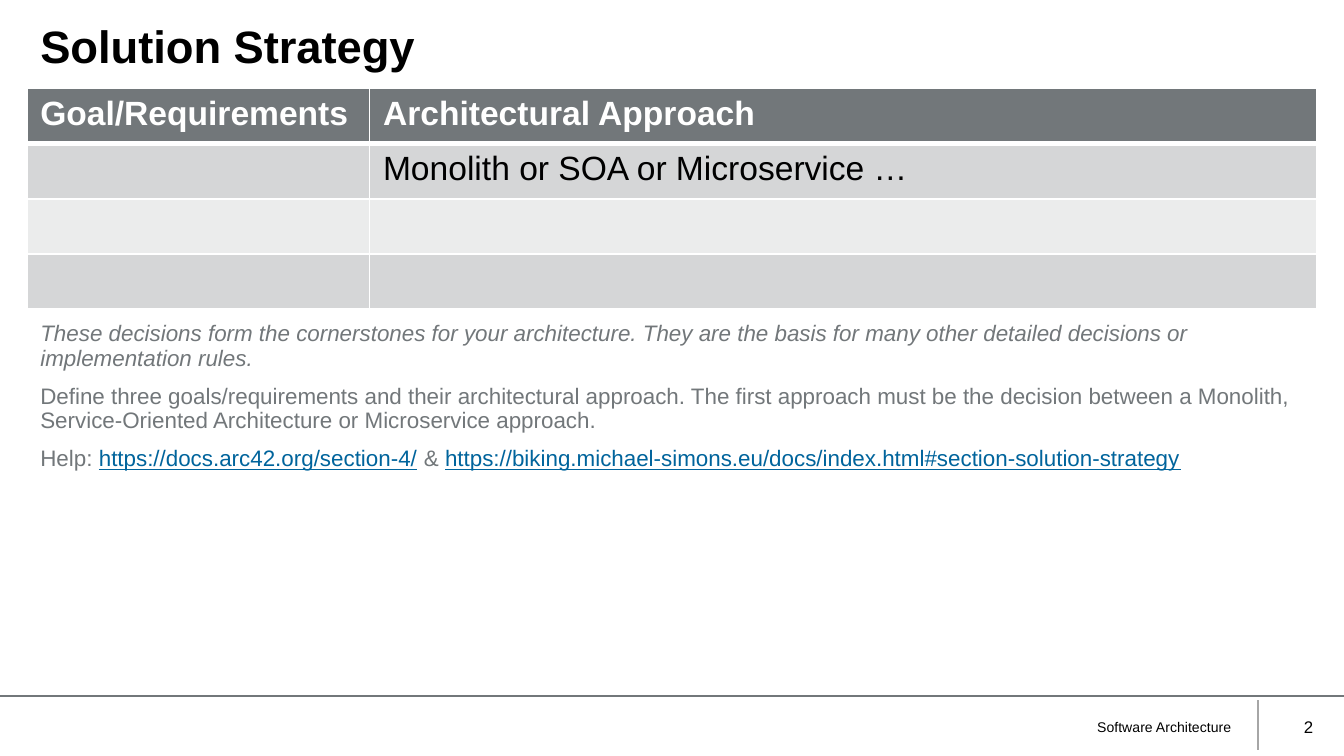
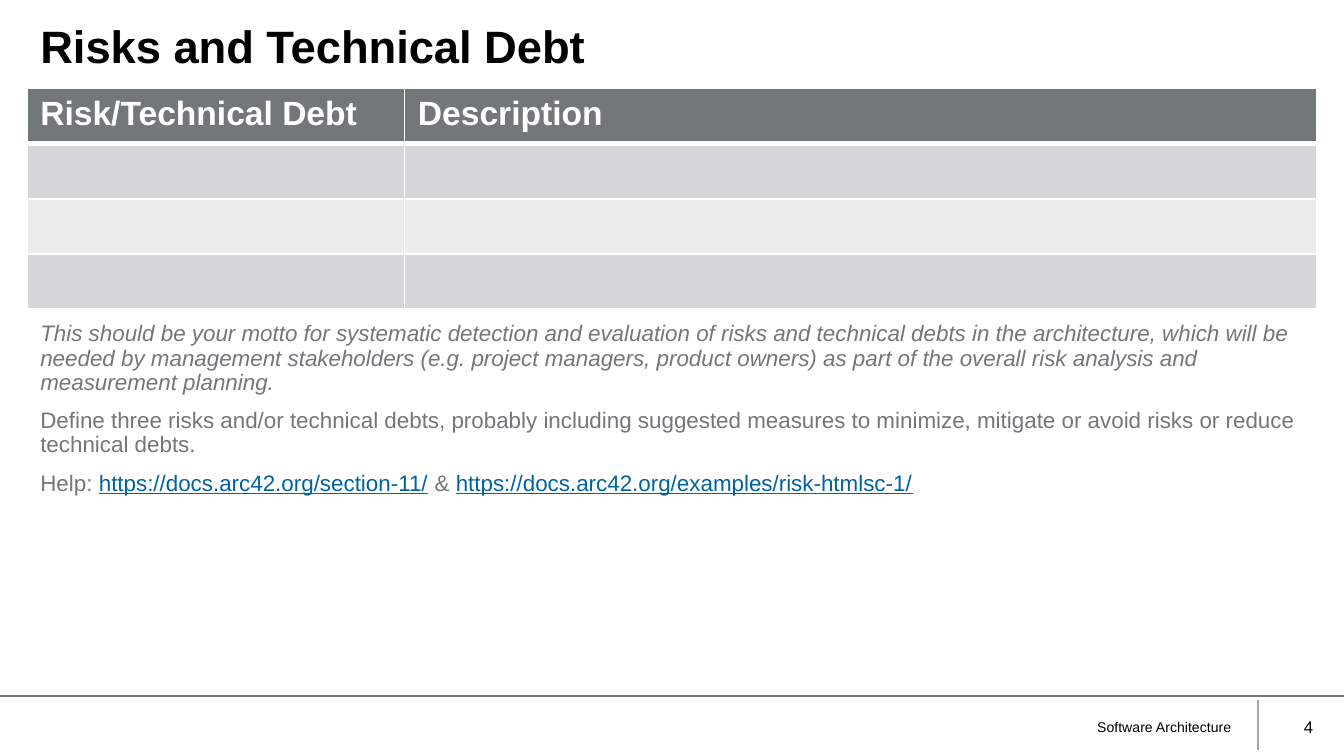
"""Builds two architecture template slides, each with a table and guidance text."""
from lxml import etree
from pptx import Presentation
from pptx.dml.color import RGBColor
from pptx.enum.shapes import MSO_CONNECTOR
from pptx.enum.text import MSO_ANCHOR, MSO_AUTO_SIZE, PP_ALIGN
from pptx.oxml.ns import qn
from pptx.util import Inches, Pt

LINE = MSO_CONNECTOR.STRAIGHT
TOP, MIDDLE = MSO_ANCHOR.TOP, MSO_ANCHOR.MIDDLE
LEFT, RIGHT = PP_ALIGN.LEFT, PP_ALIGN.RIGHT
FIXED = MSO_AUTO_SIZE.NONE
FONT = "Arial"
COLORS = {
    "black": "000000",
    "white": "FFFFFF",
    "gray": "72777A",
    "rule": "A6A6A6",
    "dark": "D5D6D7",
    "light": "EBECEC",
    "link": "00649C",
}
EDGE, WIDTH = 0.2, 9.6
ROW = 0.41

PAGES = [
    {
        "title": "Solution Strategy",
        "number": 2,
        "split": 2.55,
        "rows": [
            ("Goal/Requirements", "Architectural Approach"),
            ("", "Monolith or SOA or Microservice …"),
            ("", ""),
            ("", ""),
        ],
        "motto": "These decisions form the cornerstones for your architecture. "
                 "They are the basis for many other detailed decisions or "
                 "implementation rules.",
        "task": "Define three goals/requirements and their architectural approach. "
                "The first approach must be the decision between a Monolith, "
                "Service-Oriented Architecture or Microservice approach.",
        "links": [
            "https://docs.arc42.org/section-4/",
            "https://biking.michael-simons.eu/docs/index.html#section-solution-strategy",
        ],
    },
    {
        "title": "Risks and Technical Debt",
        "number": 4,
        "split": 2.81,
        "rows": [("Risk/Technical Debt", "Description")] + [("", "")] * 3,
        "motto": "This should be your motto for systematic detection and evaluation "
                 "of risks and technical debts in the architecture, which will be "
                 "needed by management stakeholders (e.g. project managers, product "
                 "owners) as part of the overall risk analysis and measurement planning.",
        "task": "Define three risks and/or technical debts, probably including "
                "suggested measures to minimize, mitigate or avoid risks or reduce "
                "technical debts.",
        "links": [
            "https://docs.arc42.org/section-11/",
            "https://docs.arc42.org/examples/risk-htmlsc-1/",
        ],
    },
]


def color(name):
    return RGBColor.from_string(COLORS[name])


class Deck:
    def __init__(self):
        self.file = Presentation()
        self.file.slide_width = Inches(10)
        self.file.slide_height = Inches(10 * 9 / 16)
        self.slide = None

    def page(self, number):
        self.slide = self.file.slides.add_slide(self.file.slide_layouts[1])
        self.rule((9.36, 5.21), (9.36, 5.58), "rule")
        self.rule((0, 5.18), (10, 5.18), "gray")
        self.note("Software Architecture", 3.05, 6.21, 7.5)
        self.note(str(number), 9.34, 0.53, 9)

    def rule(self, start, end, tone):
        line = self.slide.shapes.add_connector(
            LINE, *(Inches(v) for v in (*start, *end)))
        line.line.color.rgb = color(tone)
        line.line.width = Pt(1)
        etree.SubElement(line.element.spPr, qn("a:effectLst"))

    def style(self, para, size, tone, bold=False, italic=False):
        font = para.font
        font.name, font.size = FONT, Pt(size)
        font.bold, font.italic = bold, italic
        font.color.rgb = color(tone)

    def place(self, shape, left, top, width, height, anchor=TOP):
        shape.left, shape.top = Inches(left), Inches(top)
        shape.width, shape.height = Inches(width), Inches(height)
        frame = shape.text_frame
        frame.word_wrap = True
        frame.auto_size = FIXED
        frame.vertical_anchor = anchor
        return frame

    def note(self, text, left, width, size):
        box = self.slide.shapes.add_textbox(0, 0, 0, 0)
        para = self.place(box, left, 5.26, width, 0.3, MIDDLE).paragraphs[0]
        para.text = text
        para.alignment = RIGHT
        self.style(para, size, "black")

    def title(self, text):
        frame = self.place(self.slide.shapes.title, EDGE, 0.13, WIDTH, 0.48)
        para = frame.paragraphs[0]
        para.text = text
        para.alignment = LEFT
        para.line_spacing = 0.9
        self.style(para, 24.3, "black", bold=True)

    def body(self, motto, task, links):
        frame = self.place(self.slide.placeholders[1], EDGE, 2.35, WIDTH, 2.75)
        frame.text = "\n".join([motto, task, "Help: "])
        for i, para in enumerate(frame.paragraphs):
            props = para._p.get_or_add_pPr()
            props.set("marL", "0")
            props.set("indent", "0")
            etree.SubElement(props, qn("a:buNone"))
            para.line_spacing = 0.9
            para.space_before = para.space_after = Pt(3.8)
            self.style(para, 12, "gray", italic=i == 0)
        for i, link in enumerate(links):
            if i:
                para.add_run().text = " & "
            run = para.add_run()
            run.text = link
            run.font.underline = True
            run.font.color.rgb = color("link")

    def border(self, cell, widths):
        props = cell._tc.get_or_add_tcPr()
        for side, width in zip("LRTB", widths):
            line = etree.SubElement(props, qn("a:ln" + side), w=str(Pt(width)))
            fill = etree.SubElement(line, qn("a:solidFill"))
            etree.SubElement(fill, qn("a:srgbClr"), val=COLORS["white"])

    def table(self, rows, split):
        count = len(rows)
        grid = self.slide.shapes.add_table(
            count, 2, Inches(EDGE), Inches(0.66),
            Inches(WIDTH), Inches(ROW * count)).table
        grid.columns[0].width = Inches(split)
        grid.columns[1].width = Inches(WIDTH - split)
        for r, texts in enumerate(rows):
            grid.rows[r].height = Inches(ROW)
            head = r == 0
            tone = "gray" if head else "dark" if r % 2 else "light"
            for c, text in enumerate(texts):
                cell = grid.cell(r, c)
                self.border(cell, (1, 1, 3 if r == 1 else 1, 3 if head else 1))
                cell.fill.solid()
                cell.fill.fore_color.rgb = color(tone)
                para = cell.text_frame.paragraphs[0]
                para.text = text
                self.style(para, 18, "white" if head else "black", bold=head)


def main():
    deck = Deck()
    for page in PAGES:
        deck.page(page["number"])
        deck.title(page["title"])
        deck.body(page["motto"], page["task"], page["links"])
        deck.table(page["rows"], page["split"])
    deck.file.save("out.pptx")


if __name__ == "__main__":
    main()
